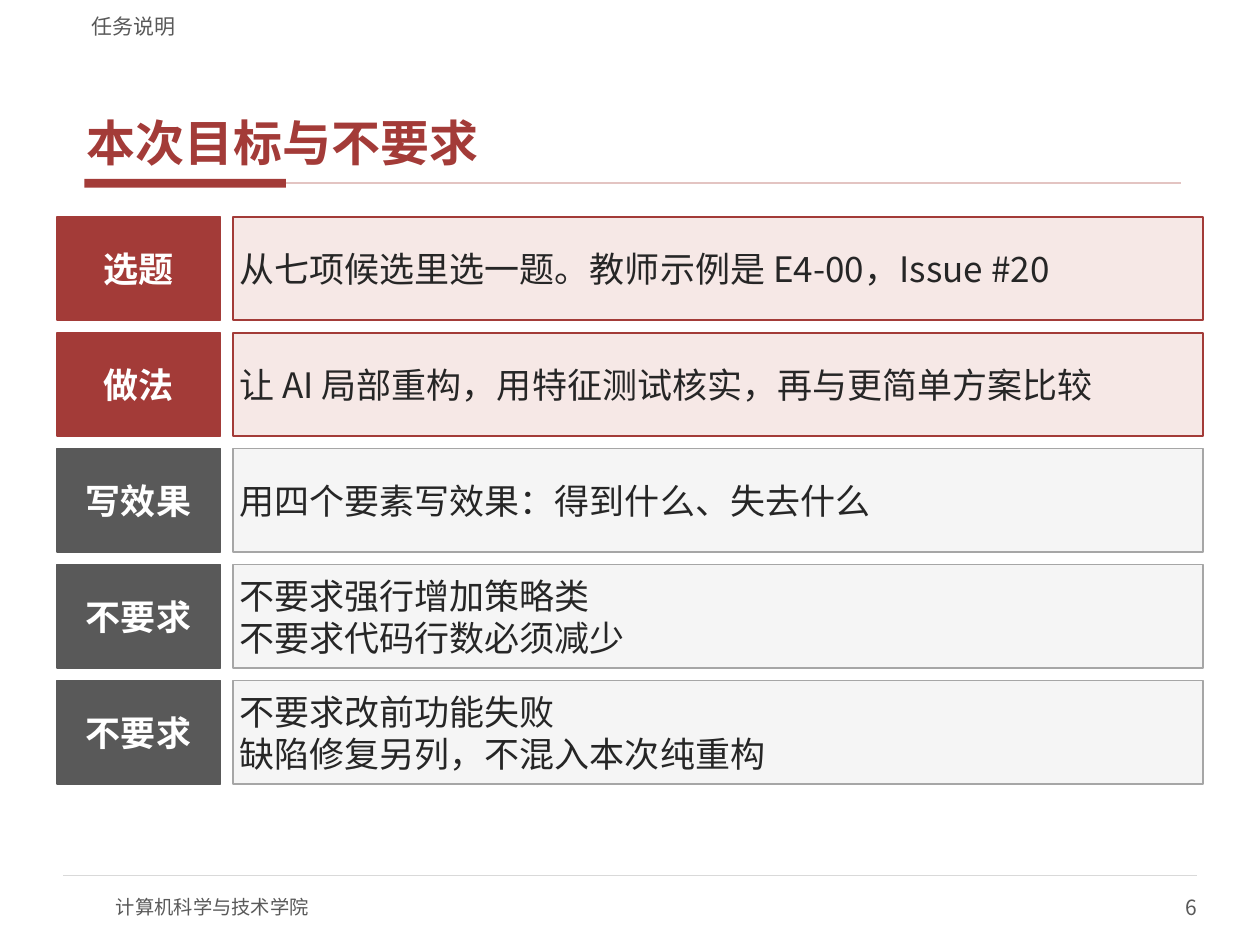
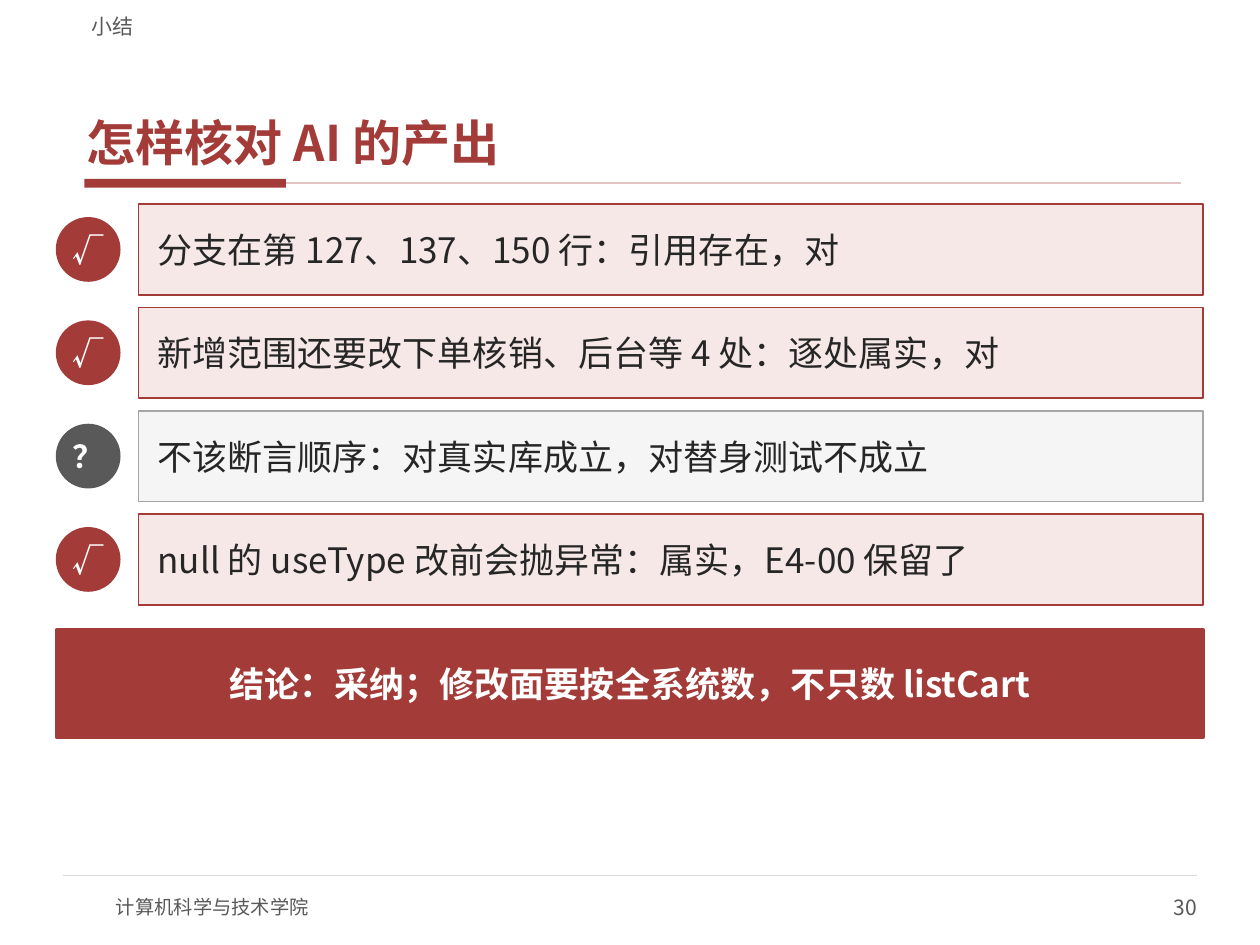
from dataclasses import dataclass

from lxml.etree import SubElement
from pptx import Presentation
from pptx.dml.color import RGBColor
from pptx.enum.shapes import MSO_CONNECTOR, MSO_SHAPE
from pptx.enum.text import MSO_ANCHOR, MSO_AUTO_SIZE, PP_ALIGN
from pptx.oxml.ns import qn
from pptx.util import Inches, Pt

COLLEGE = "计算机科学与技术学院"

GOALS = {
    "section": "任务说明",
    "title": "本次目标与不要求",
    "number": 6,
    "rows": [
        ("选题", "从七项候选里选一题。教师示例是 E4-00，Issue #20", "key"),
        ("做法", "让 AI 局部重构，用特征测试核实，再与更简单方案比较", "key"),
        ("写效果", "用四个要素写效果：得到什么、失去什么", "plain"),
        ("不要求", "不要求强行增加策略类\n不要求代码行数必须减少", "plain"),
        ("不要求", "不要求改前功能失败\n缺陷修复另列，不混入本次纯重构", "plain"),
    ],
}

CHECKS = {
    "section": "小结",
    "title": "怎样核对 AI 的产出",
    "number": 30,
    "rows": [
        ("√", "分支在第 127、137、150 行：引用存在，对", "key"),
        ("√", "新增范围还要改下单核销、后台等 4 处：逐处属实，对", "key"),
        ("？", "不该断言顺序：对真实库成立，对替身测试不成立", "plain"),
        ("√", "null 的 useType 改前会抛异常：属实，E4-00 保留了", "key"),
    ],
    "conclusion": "结论：采纳；修改面要按全系统数，不只数 listCart",
}


@dataclass(frozen=True)
class Theme:
    font: str = "Noto Sans CJK SC"
    accent: str = "A33B38"
    accent_tint: str = "F6E8E6"
    title_rule: str = "E3C4C2"
    grey: str = "595959"
    grey_tint: str = "F5F5F5"
    grey_line: str = "A6A6A6"
    footer_rule: str = "D9D9D9"
    ink: str = "262626"
    white: str = "FFFFFF"
    title_size: int = 28
    body_size: int = 20
    badge_size: int = 18
    small_size: int = 12
    footer_size: int = 11


THEME = Theme()
LABEL_FILL = {"key": THEME.accent, "plain": THEME.grey}
BODY_FILL = {"key": THEME.accent_tint, "plain": THEME.grey_tint}
BODY_LINE = {"key": THEME.accent, "plain": THEME.grey_line}

WIDTH, HEIGHT = 10, 7.5
LEFT = 0.45
CONTENT_WIDTH = WIDTH - 2 * LEFT
GAP = 0.1
HEAD_LEFT, HEAD_WIDTH = 0.63, 8.75
FOOT_MARGIN = 0.5
LABEL_INSETS = (0.08, 0.04)


def inches(*lengths):
    return [Inches(length) for length in lengths]


def colour(code):
    return RGBColor.from_string(code)


def write(shape, text, size, code, bold=False, align=PP_ALIGN.LEFT,
          anchor=MSO_ANCHOR.MIDDLE, insets=(0, 0)):
    frame = shape.text_frame
    frame.text = text
    frame.word_wrap = True
    frame.auto_size = MSO_AUTO_SIZE.NONE
    frame.vertical_anchor = anchor
    frame.margin_left = frame.margin_right = Inches(insets[0])
    frame.margin_top = frame.margin_bottom = Inches(insets[1])
    for para in frame.paragraphs:
        para.alignment = align
        font = para.font
        font.size, font.bold, font.name = Pt(size), bold, THEME.font
        font.color.rgb = colour(code)
        properties = para._p.pPr.find(qn("a:defRPr"))
        SubElement(properties, qn("a:ea"), typeface=THEME.font)


def add_box(page, at, fill, line=None, line_width=1, kind=MSO_SHAPE.RECTANGLE):
    box = page.shapes.add_shape(kind, *inches(*at))
    box.shadow.inherit = False
    box.fill.solid()
    box.fill.fore_color.rgb = colour(fill)
    if line:
        box.line.color.rgb = colour(line)
        box.line.width = Pt(line_width)
    else:
        box.line.fill.background()
    return box


def add_text(page, at, *args, **kwargs):
    write(page.shapes.add_textbox(*inches(*at)), *args, **kwargs)


def add_rule(page, left, right, top, code, width):
    rule = page.shapes.add_connector(
        MSO_CONNECTOR.STRAIGHT, *inches(left, top, right, top))
    rule.line.color.rgb = colour(code)
    rule.line.width = Pt(width)
    SubElement(rule._element.spPr, qn("a:effectLst"))
    return rule


def add_page(deck, content):
    page = deck.slides.add_slide(deck.slide_layouts[5])

    mark = add_box(page, (0.67, 1.42, 1.6, 0.07), THEME.accent)
    add_rule(page, 2.27, 9.37, 1.455, THEME.title_rule, 1).begin_connect(mark, 3)
    add_rule(page, FOOT_MARGIN, WIDTH - FOOT_MARGIN, 6.95, THEME.footer_rule, 0.75)
    add_text(page, (0.92, 7, 4, 0.4), COLLEGE, THEME.footer_size, THEME.grey)
    add_text(page, (WIDTH - FOOT_MARGIN - 2, 7, 2, 0.4), str(content["number"]),
             THEME.small_size, THEME.grey, align=PP_ALIGN.RIGHT)

    title = page.shapes.title
    title.left, title.top, title.width, title.height = inches(
        HEAD_LEFT, 0.33, HEAD_WIDTH, 1.05)
    write(title, content["title"], THEME.title_size, THEME.accent, bold=True,
          anchor=MSO_ANCHOR.BOTTOM, insets=(0.06, 0.02))
    title.text_frame.paragraphs[0].space_after = Pt(2)
    add_text(page, (HEAD_LEFT, 0.04, HEAD_WIDTH, 0.27), content["section"],
             THEME.small_size, THEME.grey, anchor=MSO_ANCHOR.BOTTOM, insets=(0.1, 0))
    return page


def add_rows(page, rows, top, row_height, label_size, gutter, label_kind,
             label_font, label_insets, body_insets):
    label_width, label_height = label_size
    body_left = LEFT + label_width + gutter
    body_width = LEFT + CONTENT_WIDTH - body_left
    for index, (label, text, tone) in enumerate(rows):
        row_top = top + index * (row_height + GAP)
        label_top = row_top + (row_height - label_height) / 2
        tag = add_box(page, (LEFT, label_top, label_width, label_height),
                      LABEL_FILL[tone], LABEL_FILL[tone], kind=label_kind)
        write(tag, label, label_font, THEME.white, bold=True,
              align=PP_ALIGN.CENTER, insets=label_insets)
        body = add_box(page, (body_left, row_top, body_width, row_height),
                       BODY_FILL[tone], BODY_LINE[tone])
        write(body, text, THEME.body_size, THEME.ink, insets=body_insets)
    return top + len(rows) * (row_height + GAP)


def add_goals(deck):
    page = add_page(deck, GOALS)
    add_rows(page, GOALS["rows"], 1.72, 0.82, (1.3, 0.82), GAP, MSO_SHAPE.RECTANGLE,
             THEME.body_size, LABEL_INSETS, (0.05, 0.03))


def add_checks(deck):
    page = add_page(deck, CHECKS)
    bottom = add_rows(page, CHECKS["rows"], 1.62, 0.72, (0.5, 0.5), 0.15,
                      MSO_SHAPE.OVAL, THEME.badge_size, (0, 0), (0.15, 0.07))
    banner = add_box(page, (LEFT, bottom + GAP, CONTENT_WIDTH, 0.85),
                     THEME.accent, THEME.accent, 2.25)
    write(banner, CHECKS["conclusion"], THEME.body_size, THEME.white, bold=True,
          align=PP_ALIGN.CENTER, insets=LABEL_INSETS)


def main():
    deck = Presentation()
    deck.slide_width, deck.slide_height = inches(WIDTH, HEIGHT)
    add_goals(deck)
    add_checks(deck)
    deck.save("out.pptx")


if __name__ == "__main__":
    main()
